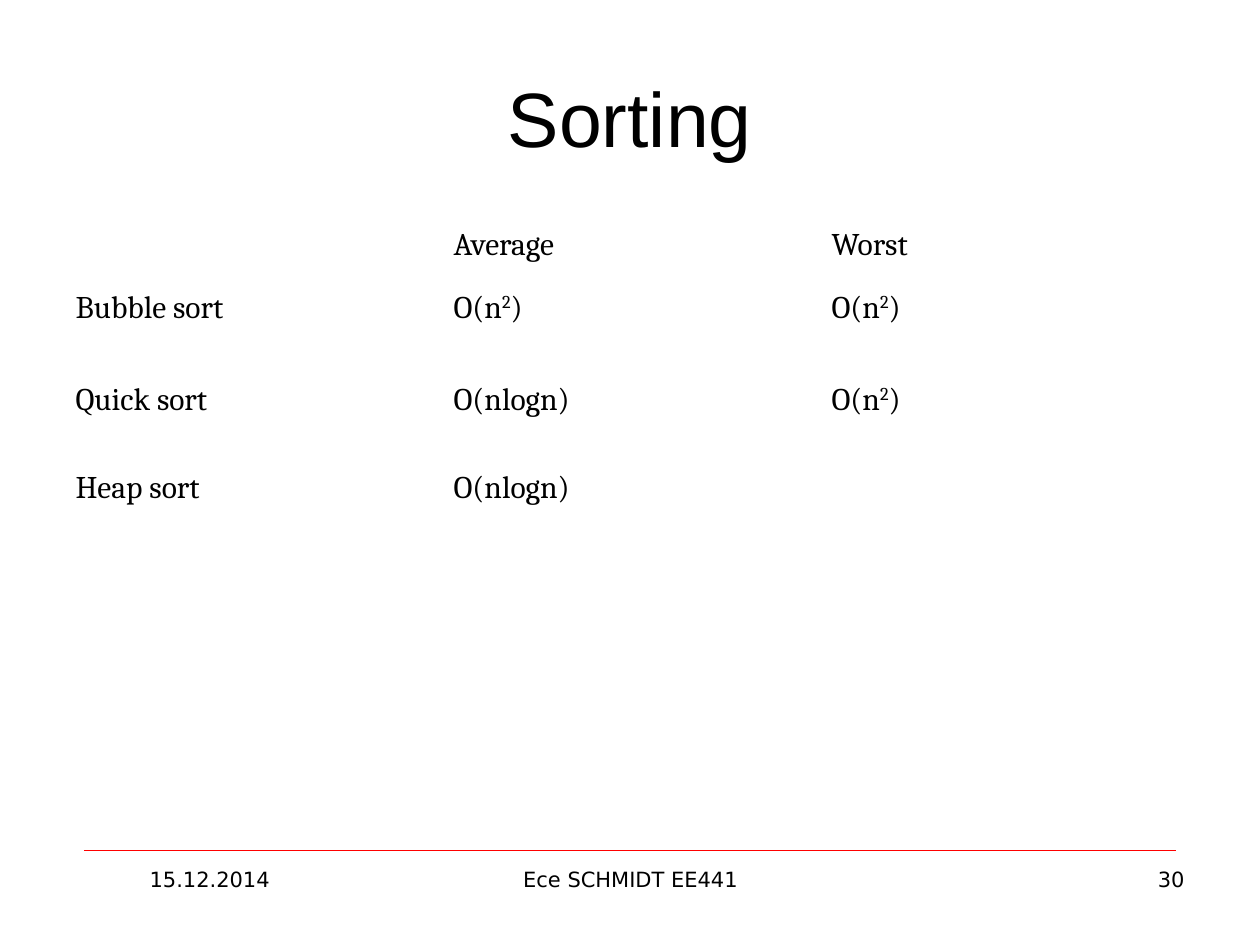
from pptx import Presentation
from pptx.dml.color import RGBColor
from pptx.enum.shapes import MSO_CONNECTOR
from pptx.enum.text import MSO_ANCHOR, PP_ALIGN
from pptx.oxml.ns import qn
from pptx.util import Inches, Pt
from lxml.etree import SubElement

BLACK = RGBColor(0, 0, 0)
RED = RGBColor(255, 0, 0)

WIDTH, HEIGHT = 10, 7.5
MARGIN = WIDTH / 20
CONTENT_WIDTH = WIDTH - 2 * MARGIN
FOOTER_TOP = 6.83

TITLE_FORMAT = {"size": Pt(44), "name": "Arial", "bold": False}
CELL_FORMAT = {"size": Pt(18), "name": "Cambria", "bold": False}
FOOTER_FORMAT = {"size": Pt(12), "name": "DejaVu Sans", "bold": False}

SQUARE = "O(n^2^)"  # text between carets is raised
ROWS = [
    ("", "Average", "Worst"),
    ("Bubble sort", SQUARE, SQUARE),
    ("Quick sort", "O(nlogn)", SQUARE),
    ("Heap sort", "O(nlogn)", ""),
]
ROW_HEIGHTS = [0.5, 0.73, 0.7, 0.63]

FOOTERS = [
    (MARGIN, 2.33, "15.12.2014", PP_ALIGN.CENTER),
    (3.42, 3.17, "Ece SCHMIDT EE441", PP_ALIGN.CENTER),
    (7.17, 2.33, "30", PP_ALIGN.RIGHT),
]


def write(para, text, values, align=PP_ALIGN.LEFT):
    """Fill a paragraph, raising each part that stands between carets."""
    para.alignment = align
    for index, part in enumerate(text.split("^")):
        if not part:
            continue
        span = para.add_run()
        span.text = part
        for name, value in values.items():
            setattr(span.font, name, value)
        span.font.color.rgb = BLACK
        if index % 2:
            span.font._element.set("baseline", "30000")


def add_title(page, text):
    title = page.shapes.title
    title.left, title.top = Inches(MARGIN), Inches(0.3)
    title.width, title.height = Inches(CONTENT_WIDTH), Inches(1.25)
    title.text_frame.vertical_anchor = MSO_ANCHOR.MIDDLE
    write(title.text_frame.paragraphs[0], text, TITLE_FORMAT, PP_ALIGN.CENTER)


def add_complexity_table(page):
    frame = page.shapes.add_table(
        len(ROWS), len(ROWS[0]), Inches(MARGIN), Inches(1.75),
        Inches(CONTENT_WIDTH), Inches(sum(ROW_HEIGHTS)))
    table = frame.table
    table.first_row = table.horz_banding = False
    for row, height, texts in zip(table.rows, ROW_HEIGHTS, ROWS):
        row.height = Inches(height)
        for cell, text in zip(row.cells, texts):
            cell.fill.background()
            write(cell.text_frame.paragraphs[0], text, CELL_FORMAT)


def add_footer_line(page):
    y = Inches(0.9 * HEIGHT)
    line = page.shapes.add_connector(
        MSO_CONNECTOR.STRAIGHT, Inches(WIDTH / 15), y, Inches(WIDTH * 14 / 15), y)
    line.line.color.rgb = RED
    line.line.width = Pt(0.25)
    SubElement(line._element.spPr, qn("a:effectLst"))


def add_footer(page, left, width, text, align):
    box = page.shapes.add_textbox(
        Inches(left), Inches(FOOTER_TOP), Inches(width), Inches(0.5))
    box.text_frame.word_wrap = True
    write(box.text_frame.paragraphs[0], text, FOOTER_FORMAT, align)


def main():
    deck = Presentation()
    deck.slide_width, deck.slide_height = Inches(WIDTH), Inches(HEIGHT)
    page = deck.slides.add_slide(deck.slide_layouts.get_by_name("Title Only"))
    add_footer_line(page)
    add_title(page, "Sorting")
    add_complexity_table(page)
    for footer in FOOTERS:
        add_footer(page, *footer)
    deck.save("out.pptx")


if __name__ == "__main__":
    main()
